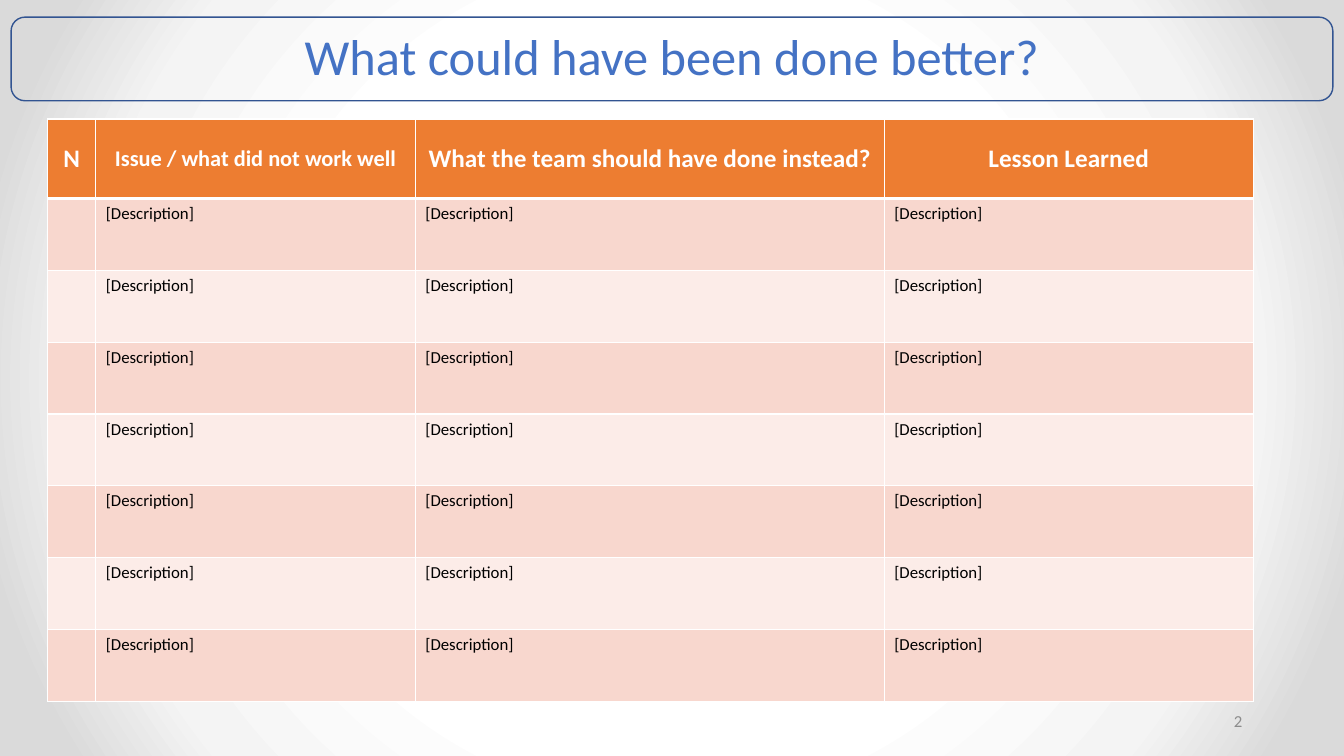
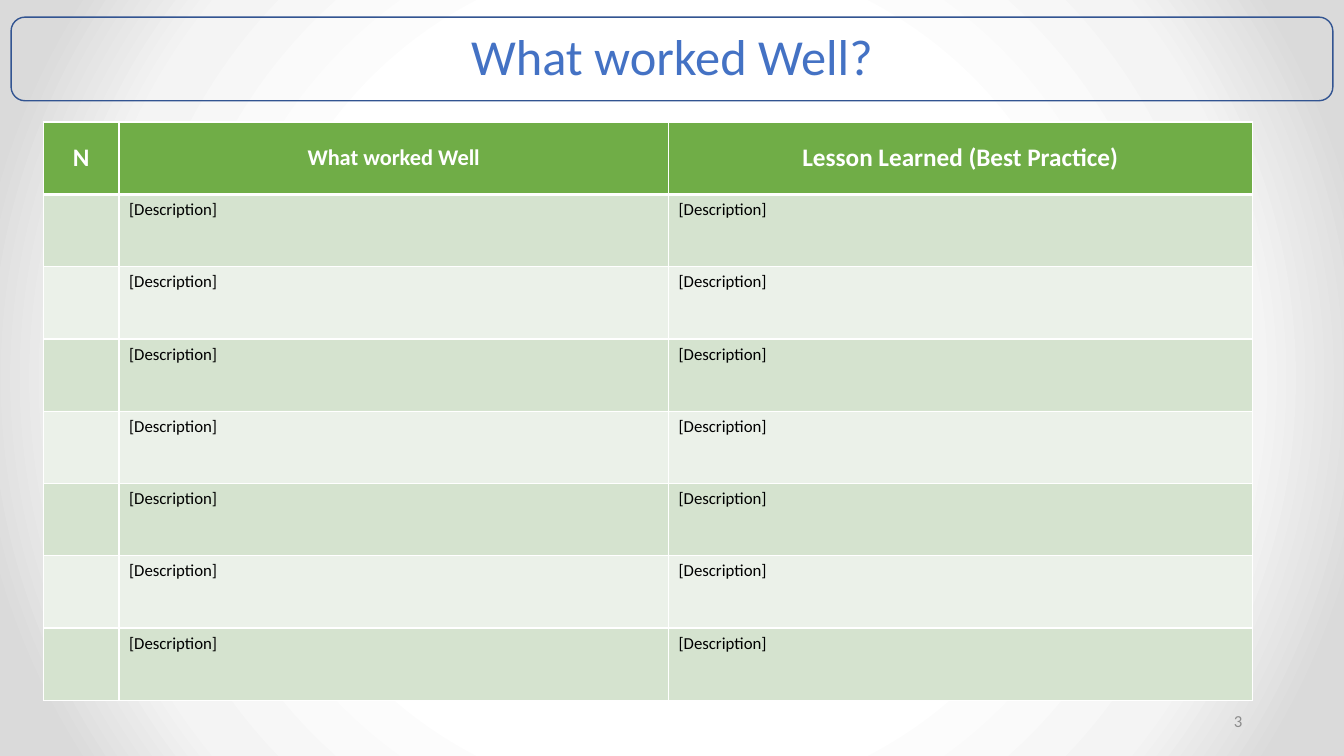
from pptx import Presentation
from pptx.dml.color import RGBColor
from pptx.enum.shapes import MSO_SHAPE
from pptx.enum.text import MSO_ANCHOR, PP_ALIGN
from pptx.oxml import parse_xml
from pptx.oxml.ns import nsdecls, qn
from pptx.util import Pt

PX = 9144  # 100 px to the inch
WIDE, HIGH = 1333, 750

THEME = {
    "font": "Calibri",
    "white": "FFFFFF",
    "frame": "325491",
    "glow": [(50, "FFFFFF"), (76, "F4F4F4"), (92, "DADADA")],
    "orange": ("ED7D31", "F8D7CE", "FCECE8"),
    "green": ("70AD47", "D5E3CF", "EBF1E9"),
    "title": {"size": 36, "color": "4472C4"},
    "page": {"size": 12, "color": "8C8C8C"},
    "head": {"size": 18, "color": "FFFFFF", "bold": True},
    "issue": {"size": 16, "color": "FFFFFF", "bold": True},
    "body": {"size": 12, "color": "000000", "bold": False},
}

FRAME = (11, 17, 1311, 83)
TITLE = (175, 21, 983, 75)
PAGE = (942, 695, 300, 40)

BODY_ROWS = 7
ENTRY = "[Description]"
SLIDES = [
    {
        "title": "What could have been done better?",
        "page": "2",
        "hue": "orange",
        "at": (47, 118),
        "high": 578,
        "head": 79,
        "cols": [
            ("N", 48, "head"),
            ("Issue / what did not work well", 317, "issue"),
            ("What the team should have done instead?", 465, "head"),
            ("Lesson Learned", 366, "head"),
        ],
    },
    {
        "title": "What worked Well?",
        "page": "3",
        "hue": "green",
        "at": (43, 121),
        "high": 574,
        "head": 72,
        "cols": [
            ("N", 75, "head"),
            ("What worked Well", 545, "issue"),
            ("Lesson Learned (Best Practice)", 579, "head"),
        ],
    },
]


def emu(*vals):
    return [round(v * PX) for v in vals]


def write(frame, text, style, align):
    para = frame.paragraphs[0]
    para.alignment = align
    run = para.add_run()
    run.text = text
    form = dict(THEME[style])
    run.font.color.rgb = RGBColor.from_string(form.pop("color"))
    form["size"] = Pt(form["size"])
    form["name"] = THEME["font"]
    for key, val in form.items():
        setattr(run.font, key, val)
    return para


def label(slide, box, text, style, align):
    frame = slide.shapes.add_textbox(*emu(*box)).text_frame
    frame.word_wrap = True
    frame.vertical_anchor = MSO_ANCHOR.MIDDLE
    return write(frame, text, style, align)


def backdrop(master):
    """Give the master a round glow that all slides inherit."""
    master.background.fill.gradient()
    old = master.element.find(".//" + qn("a:gradFill"))
    stops = "".join(
        f'<a:gs pos="{pos * 1000}"><a:srgbClr val="{tone}"/></a:gs>'
        for pos, tone in THEME["glow"]
    )
    new = parse_xml(
        f'<a:gradFill {nsdecls("a")} rotWithShape="1"><a:gsLst>{stops}</a:gsLst>'
        '<a:path path="circle"><a:fillToRect l="50000" t="50000" '
        'r="50000" b="50000"/></a:path></a:gradFill>'
    )
    old.getparent().replace(old, new)


def border(cell, top, base):
    """Draw white cell edges; top and base are widths in points."""
    props = cell._tc.get_or_add_tcPr()
    edges = {"lnL": 1, "lnR": 1, "lnT": top, "lnB": base}
    for spot, (tag, width) in enumerate(edges.items()):
        props.insert(spot, parse_xml(
            f'<a:{tag} {nsdecls("a")} w="{Pt(width)}"><a:solidFill>'
            f'<a:srgbClr val="{THEME["white"]}"/></a:solidFill></a:{tag}>'
        ))


def paint(cell, tone):
    cell.fill.solid()
    cell.fill.fore_color.rgb = RGBColor.from_string(tone)


def grid(slide, data):
    cols = data["cols"]
    wide = sum(width for _, width, _ in cols)
    box = emu(*data["at"], wide, data["high"])
    table = slide.shapes.add_table(BODY_ROWS + 1, len(cols), *box).table
    table.horz_banding = False
    step = (data["high"] - data["head"]) / BODY_ROWS
    for r, row in enumerate(table.rows):
        row.height = emu(step if r else data["head"])[0]
    head, *bands = THEME[data["hue"]]
    for c, (name, width, style) in enumerate(cols):
        table.columns[c].width = emu(width)[0]
        top = table.cell(0, c)
        top.vertical_anchor = MSO_ANCHOR.MIDDLE
        write(top.text_frame, name, style, PP_ALIGN.CENTER)
        paint(top, head)
        border(top, 1, 3)
        for r in range(1, BODY_ROWS + 1):
            cell = table.cell(r, c)
            if c:
                write(cell.text_frame, ENTRY, "body", PP_ALIGN.LEFT)
            paint(cell, bands[(r - 1) % 2])
            border(cell, 3 if r == 1 else 1, 1)


def base(slide, data):
    """Add the title frame, title and page number."""
    frame = slide.shapes.add_shape(MSO_SHAPE.ROUNDED_RECTANGLE, *emu(*FRAME))
    frame.shadow.inherit = False
    frame.fill.background()
    frame.line.color.rgb = RGBColor.from_string(THEME["frame"])
    frame.line.width = Pt(1)
    title = label(slide, TITLE, data["title"], "title", PP_ALIGN.CENTER)
    title.line_spacing = 0.9
    label(slide, PAGE, data["page"], "page", PP_ALIGN.RIGHT)


def main():
    deck = Presentation()
    deck.slide_width, deck.slide_height = emu(WIDE, HIGH)
    backdrop(deck.slide_master)
    for data in SLIDES:
        slide = deck.slides.add_slide(deck.slide_layouts[6])
        base(slide, data)
        grid(slide, data)
    deck.save("out.pptx")


if __name__ == "__main__":
    main()
